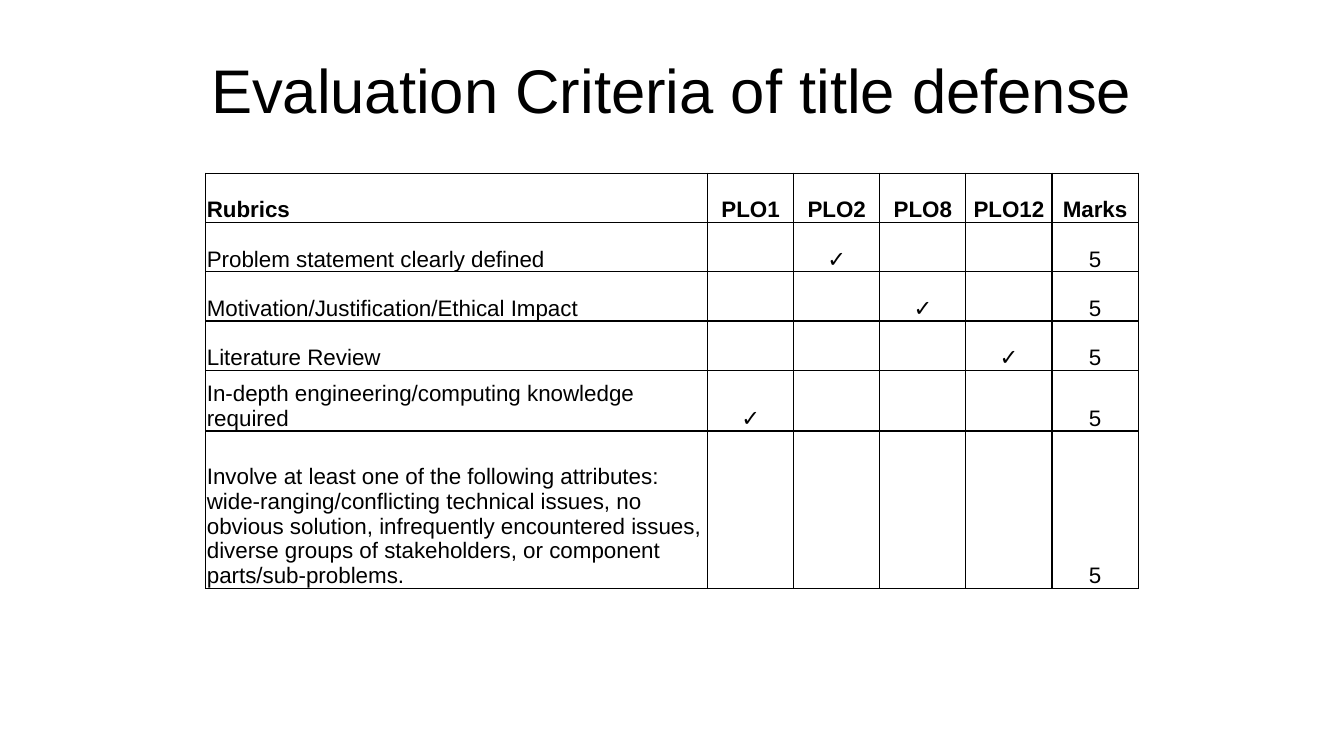
import dataclasses

import lxml.etree
import pptx
import pptx.dml.color
import pptx.enum.text
import pptx.oxml.ns
import pptx.util

Pt = pptx.util.Pt
Align = pptx.enum.text.PP_ALIGN
Anchor = pptx.enum.text.MSO_ANCHOR


@dataclasses.dataclass(frozen=True)
class Theme:
    font: str = "Arial"
    ink: str = "000000"
    title_size: int = 44
    table_size: int = 16
    border_width: int = 1


THEME = Theme()
OUTCOMES = ["PLO1", "PLO2", "PLO8", "PLO12"]
CRITERIA = [
    ("Problem statement clearly defined", "PLO2", 5),
    ("Motivation/Justification/Ethical Impact", "PLO8", 5),
    ("Literature Review", "PLO12", 5),
    ("In-depth engineering/computing knowledge required", "PLO1", 5),
    ("Involve at least one of the following attributes: "
     "wide-ranging/conﬂicting technical issues, no obvious solution, "
     "infrequently encountered issues, diverse groups of stakeholders, "
     "or component parts/sub-problems.", None, 5),
]
ROW_HEIGHTS = [35.2] * 4 + [43.4, 112.5]
RUBRIC_WIDTH = 358.4


def write_text(text_frame, text, size, bold=False, align=Align.LEFT, line_spacing=1.0):
    paragraph = text_frame.paragraphs[0]
    paragraph.text = text
    paragraph.alignment = align
    paragraph.line_spacing = line_spacing
    font = paragraph.font
    font.name = THEME.font
    font.size = Pt(size)
    font.bold = bold
    font.color.rgb = pptx.dml.color.RGBColor.from_string(THEME.ink)


def add_borders(cell):
    properties = cell._tc.get_or_add_tcPr()
    qn = pptx.oxml.ns.qn
    for position, side in enumerate(("a:lnL", "a:lnR", "a:lnT", "a:lnB")):
        line = lxml.etree.Element(qn(side), w=str(Pt(THEME.border_width)))
        fill = lxml.etree.SubElement(line, qn("a:solidFill"))
        lxml.etree.SubElement(fill, qn("a:srgbClr"), val=THEME.ink)
        properties.insert(position, line)


def format_cell(cell, text, bold, align):
    cell.margin_left = cell.margin_right = cell.margin_top = Pt(0.75)
    cell.margin_bottom = Pt(0)
    cell.vertical_anchor = Anchor.BOTTOM
    cell.fill.background()
    add_borders(cell)
    write_text(cell.text_frame, text, THEME.table_size, bold=bold, align=align)


def place_title(slide, left, top, width, height):
    title = slide.shapes.title
    title.left, title.top, title.width, title.height = map(Pt, (left, top, width, height))
    frame = title.text_frame
    frame.margin_left = frame.margin_right = frame.margin_top = frame.margin_bottom = Pt(0)
    frame.vertical_anchor = Anchor.MIDDLE
    frame.word_wrap = True
    write_text(frame, "Evaluation Criteria of title defense", THEME.title_size,
               align=Align.CENTER, line_spacing=0.9)


def place_rubric_table(slide, left, top, width, height):
    rows = [["Rubrics", *OUTCOMES, "Marks"]]
    for criterion, outcome, marks in CRITERIA:
        ticks = ["✓" if name == outcome else "" for name in OUTCOMES]
        rows.append([criterion, *ticks, str(marks)])

    column_count = len(rows[0])
    table = slide.shapes.add_table(
        len(rows), column_count, Pt(left), Pt(top), Pt(width), Pt(height)).table
    table.first_row = table.horz_banding = False
    narrow_width = (width - RUBRIC_WIDTH) / (column_count - 1)
    for index, column in enumerate(table.columns):
        column.width = Pt(narrow_width if index else RUBRIC_WIDTH)
    for row, row_height in zip(table.rows, ROW_HEIGHTS):
        row.height = Pt(row_height)

    for row_index, values in enumerate(rows):
        for column_index, value in enumerate(values):
            format_cell(table.cell(row_index, column_index), value, bold=row_index == 0,
                        align=Align.CENTER if column_index else Align.LEFT)


def main():
    presentation = pptx.Presentation()
    presentation.slide_width, presentation.slide_height = Pt(960), Pt(540)
    slide = presentation.slides.add_slide(presentation.slide_layouts[5])
    place_title(slide, 48, 21.6, 864, 90)
    place_rubric_table(slide, 147, 123.8, 666, sum(ROW_HEIGHTS))
    presentation.save("out.pptx")


if __name__ == "__main__":
    main()
